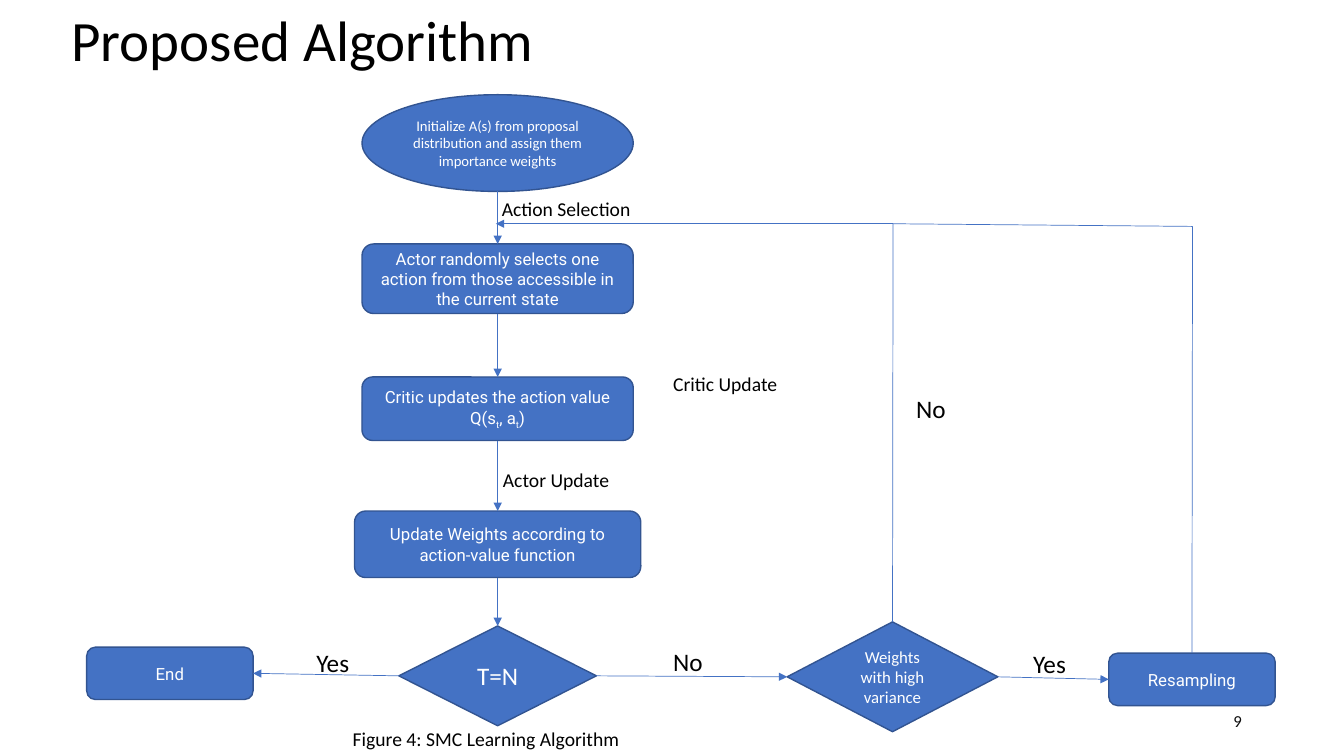
from lxml.etree import SubElement
from pptx import Presentation
from pptx.dml.color import RGBColor
from pptx.enum.shapes import MSO_CONNECTOR, MSO_SHAPE
from pptx.enum.text import MSO_ANCHOR, PP_ALIGN
from pptx.oxml.ns import qn
from pptx.util import Inches, Pt

# The slide is a grid of 100 columns by 100 rows.
WIDE, HIGH = Inches(13.333), Inches(7.5)
BLUE, EDGE, WHITE, BLACK = "4472C4", "325491", "FFFFFF", "000000"
TOP, LEFT, BOTTOM, RIGHT = range(4)
AXIS, BACK = 37.03, 29.6
ROUND = MSO_SHAPE.FLOWCHART_ALTERNATE_PROCESS
DIAMOND = MSO_SHAPE.DIAMOND


def color(code):
    return RGBColor.from_string(code)


def col(n):
    return round(WIDE * n / 100)


def row(n):
    return round(HIGH * n / 100)


def write(frame, text, size, font, ink, align, anchor):
    """Fill a frame; text between underscores becomes subscript."""
    frame.word_wrap = True
    frame.vertical_anchor = anchor
    para = frame.paragraphs[0]
    para.alignment = align
    for i, part in enumerate(text.split("_")):
        run = para.add_run()
        run.text = part
        run.font.size = Pt(size)
        run.font.name = font
        run.font.color.rgb = color(ink)
        if i % 2:
            run.font._element.set("baseline", "-25000")
    return para


def node(slide, kind, text, mid, w, h, size=12, font="Roboto"):
    """Draw a flowchart step centred on mid."""
    x, y = mid
    step = slide.shapes.add_shape(
        kind, col(x - w / 2), row(y - h / 2), col(w), row(h))
    step.shadow.inherit = False
    step.fill.solid()
    step.fill.fore_color.rgb = color(BLUE)
    step.line.color.rgb = color(EDGE)
    step.line.width = Pt(1)
    write(step.text_frame, text, size, font, WHITE,
          PP_ALIGN.CENTER, MSO_ANCHOR.MIDDLE)
    return step


def label(slide, text, x, y, w, h, size, ink=BLACK,
          align=PP_ALIGN.LEFT, anchor=MSO_ANCHOR.TOP):
    box = slide.shapes.add_textbox(col(x), row(y), col(w), row(h))
    return write(box.text_frame, text, size, "Calibri", ink, align, anchor)


def line(slide, start, end, arrow=True):
    """Join two ends, each a grid point or a (step, side) pair."""
    link = slide.shapes.add_connector(MSO_CONNECTOR.STRAIGHT, 0, 0, 0, 0)
    if isinstance(start[0], (int, float)):
        link.begin_x, link.begin_y = col(start[0]), row(start[1])
    else:
        link.begin_connect(*start)
    if isinstance(end[0], (int, float)):
        link.end_x, link.end_y = col(end[0]), row(end[1])
    else:
        link.end_connect(*end)
    link.line.color.rgb = color(BLUE)
    link.line.width = Pt(0.5)
    if arrow:
        SubElement(link.line._get_or_add_ln(), qn("a:tailEnd"), type="triangle")
    SubElement(link._element.spPr, qn("a:effectLst"))


def main():
    deck = Presentation()
    deck.slide_width, deck.slide_height = WIDE, HIGH
    slide = deck.slides.add_slide(deck.slide_layouts[6])

    title = label(slide, "Proposed Algorithm", 4.58, 1.87, 41.63, 8.67, 40.7,
                  anchor=MSO_ANCHOR.MIDDLE)
    title.line_spacing = 0.7

    node(slide, MSO_SHAPE.FLOWCHART_CONNECTOR,
         "Initialize A(s) from proposal distribution and assign them "
         "importance weights", (AXIS, 18.93), 20.18, 12.8, 10.5, "Calibri")
    actor = node(slide, ROUND, "Actor randomly selects one action from those "
                 "accessible in the current state", (AXIS, 36.87), 20.18, 9.2)
    critic = node(slide, ROUND, "Critic updates the action value Q(s_t_, a_t_)",
                  (AXIS, 54.07), 20.18, 8.4)
    update = node(slide, ROUND, "Update Weights according to action-value "
                  "function", (AXIS, 72), 21.3, 8.8)
    done = node(slide, DIAMOND, "T=N", (AXIS, 89.4), 14.7, 13.2, 18, "Calibri")
    spread = node(slide, DIAMOND, "Weights with high variance",
                  (66.41, 89.53), 15.68, 14.53, 12, "Calibri")
    again = node(slide, ROUND, "Resampling", (88.69, 89.87), 12.38, 6.93)
    end = node(slide, ROUND, "End", (12.64, 89.07), 12.38, 6.93)

    line(slide, (AXIS, 25.33), (actor, TOP))
    chain = [actor, critic, update, done]
    for above, below in zip(chain, chain[1:]):
        line(slide, (above, BOTTOM), (below, TOP))
    line(slide, (done, LEFT), (end, RIGHT))
    line(slide, (done, RIGHT), (spread, LEFT))
    line(slide, (spread, RIGHT), (again, LEFT))

    turn, corner = (66.45, BACK), (88.73, 29.95)
    line(slide, (spread, TOP), turn, False)
    line(slide, (again, TOP), corner, False)
    line(slide, turn, corner, False)
    line(slide, turn, (36.9, BACK))

    for text, x, y, w in [
        ("Action Selection", 36.6, 25.33, 13.43),
        ("Critic Update", 49.35, 48.53, 12.75),
        ("Actor Update", 36.68, 61.2, 12.15),
        ("Figure 4: SMC Learning Algorithm", 25.5, 95.47, 58.73),
    ]:
        label(slide, text, x, y, w, 4.53, 14)
    for text, x, y in [
        ("No", 49.35, 84.8),
        ("No", 67.43, 51.33),
        ("Yes", 76.13, 85.07),
        ("Yes", 22.8, 84.93),
    ]:
        label(slide, text, x, y, 7.95, 5.33, 18)
    label(slide, "9", 70.65, 92.67, 22.5, 5.33, 12, "0D0D0D",
          PP_ALIGN.RIGHT, MSO_ANCHOR.MIDDLE)

    deck.save("out.pptx")


if __name__ == "__main__":
    main()
